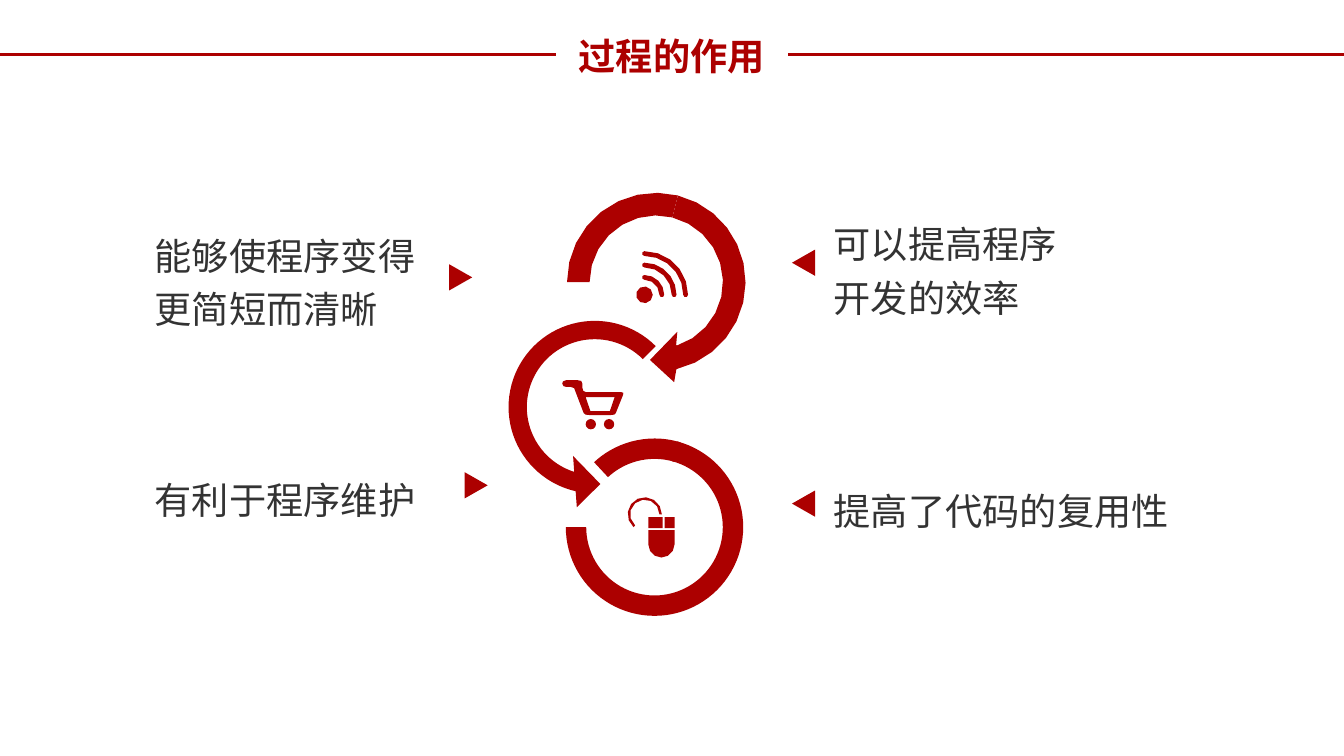
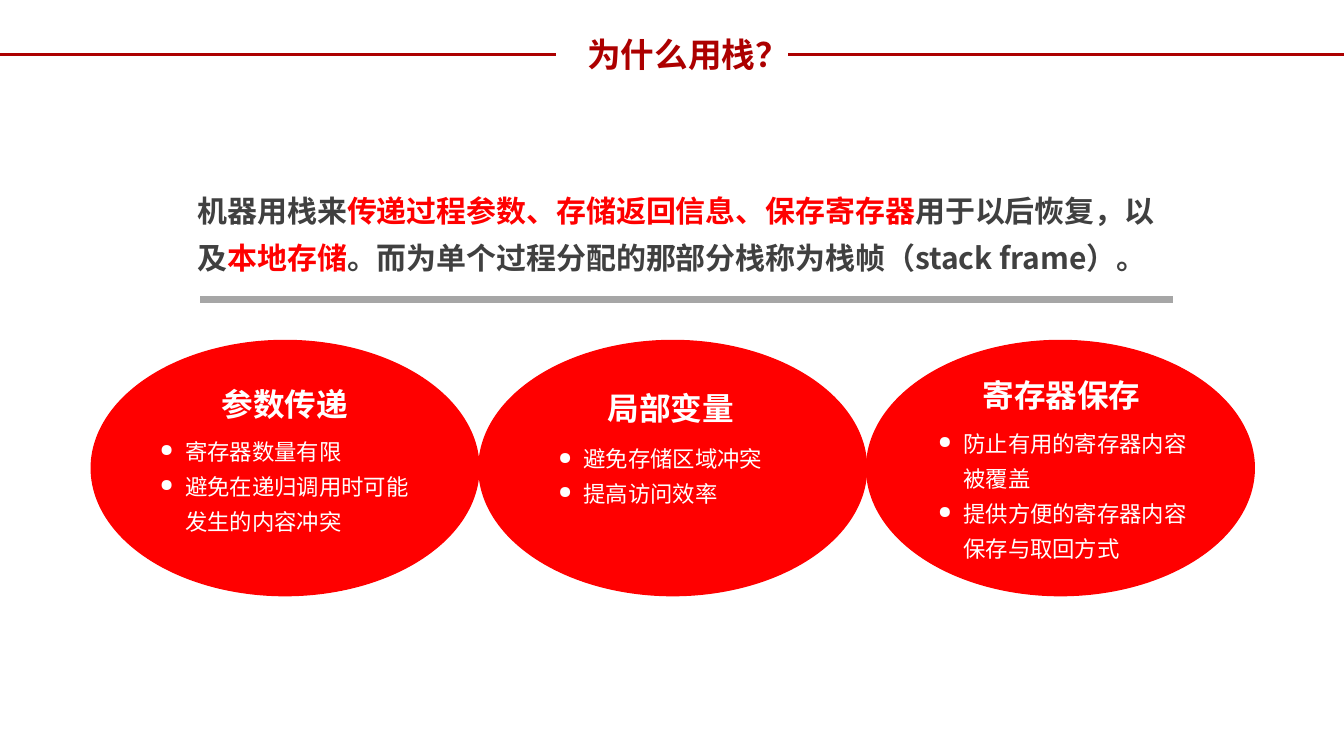
import math

import pptx
import pptx.dml.color
import pptx.enum.shapes
import pptx.enum.text
import pptx.oxml.ns
import pptx.util
from lxml import etree

Cm = pptx.util.Cm
Pt = pptx.util.Pt
SHAPE = pptx.enum.shapes.MSO_SHAPE
ALIGN = pptx.enum.text.PP_ALIGN

FONT = "Noto Sans CJK SC"
CRIMSON, RED, WHITE = "AC0000", "FF0000", "FFFFFF"
INK, DARK, GRAY = "333333", "404040", "A6A6A6"
SLIDE_W, SLIDE_H = 33.87, 19.05
TITLE_LEFT, TITLE_RIGHT, TITLE_RULE_Y = 14.0, 19.86, 1.37
CURVE_TOLERANCE = 0.015

PURPOSES = [
    ("可以提高程序开发的效率", (20.76, 5.23, 6.6, 2.87), (19.92, 6.33), 270),
    ("提高了代码的复用性", (20.76, 11.95, 8.99, 1.5), (19.92, 12.4), 270),
    ("能够使程序变得更简短而清晰", (3.65, 5.52, 7.24, 2.87), (11.28, 6.7), 90),
    ("有利于程序维护", (3.65, 11.68, 7.9, 1.5), (11.67, 11.94), 90),
]
LOWER_RING = (14.26, 11.05, 4.47, 4.47)
RING_ARROWS = [
    (SHAPE.LEFT_CIRCULAR_ARROW, (12.4, 7.67, 5.18, 5.18), (0.089, 11.423, 62.936, 189, 0.125)),
    (SHAPE.BLOCK_ARC, LOWER_RING, (136.244, 172.282, 0.115)),
    (SHAPE.BLOCK_ARC, LOWER_RING, (170.851, 108, 0.115)),
]
UPPER_RING = (16.54, 7.11)
UPPER_HEAD = [(16.99, 9.63), (16.38, 9.07), (17.07, 8.36), (17.04, 8.69)]
SIGNAL_CENTER = (16.24, 7.43)
SIGNAL_RADII = [0.44, 0.75, 1.04]
CART_FRAME = [
    (15.65, 9.88), (14.76, 9.88), (14.7, 9.85), (14.68, 9.78), (14.68, 9.68), (14.65, 9.6),
    (14.55, 9.58), (14.27, 9.58), (14.19, 9.61), (14.17, 9.67), (14.2, 9.73), (14.27, 9.75),
    (14.38, 9.75), (14.47, 9.78), (14.5, 9.86), (14.71, 10.41), (14.76, 10.45), (14.86, 10.46),
    (15.39, 10.46), (15.48, 10.45), (15.52, 10.41), (15.7, 9.96), (15.71, 9.9),
]
CART_BASKET = [(15.37, 10.36), (14.88, 10.36), (14.76, 10.01), (15.49, 10.01)]
CART_WHEELS = [(14.89, 10.69), (15.35, 10.69)]

STACK_INTRO = [
    ("机器用栈来", DARK),
    ("传递过程参数、存储返回信息、保存寄存器", RED),
    ("用于以后恢复，以及", DARK),
    ("本地存储", RED),
    ("。而为单个过程分配的那部分栈称为栈帧（stack frame）。", DARK),
]
STACK_USES = [
    ("参数传递", (5.31, 9.57, 3.73, 1.22),
     ["寄存器数量有限", "避免在递归调用时可能发生的内容冲突"], (3.78, 10.72, 7.19, 2.84)),
    ("局部变量", (15.04, 9.68, 3.73, 1.22),
     ["避免存储区域冲突", "提高访问效率"], (13.82, 10.9, 6.22, 1.96)),
    ("寄存器保存", (24.48, 9.35, 4.55, 1.22),
     ["防止有用的寄存器内容被覆盖", "提供方便的寄存器内容保存与取回方式"], (23.39, 10.52, 6.88, 3.73)),
]
ELLIPSE_LEFT, ELLIPSE_TOP, ELLIPSE_W, ELLIPSE_H = 2.3, 8.58, 9.77, 6.43


def rgb(color):
    return pptx.dml.color.RGBColor.from_string(color)


def paint(shape, color):
    shape.shadow.inherit = False
    shape.fill.solid()
    shape.fill.fore_color.rgb = rgb(color)
    shape.line.fill.background()
    return shape


def add_preset(shapes, kind, place, color):
    return paint(shapes.add_shape(kind, *map(Cm, place)), color)


def add_outline(shapes, *contours):
    emu = [[(Cm(x), Cm(y)) for x, y in contour] for contour in contours]
    builder = shapes.build_freeform(*emu[0][0], scale=1.0)
    for index, contour in enumerate(emu):
        if index:
            builder.move_to(*contour[0])
        builder.add_line_segments(contour[1:], close=True)
    return paint(builder.convert_to_shape(), CRIMSON)


def arc(center, radius, start, end):
    widest = math.degrees(2 * math.acos(1 - CURVE_TOLERANCE / radius))
    steps = math.ceil(abs(end - start) / widest)
    angles = [math.radians(start + (end - start) * i / steps) for i in range(steps + 1)]
    return [(center[0] + radius * math.cos(a), center[1] + radius * math.sin(a)) for a in angles]


def band(center, outer, inner, start, end):
    return arc(center, outer, start, end) + arc(center, inner, end, start)


def rectangle(left, top, right, bottom):
    return [(left, top), (right, top), (right, bottom), (left, bottom)]


def add_rule(page, left, right, y, color, width):
    rule = page.shapes.add_connector(
        pptx.enum.shapes.MSO_CONNECTOR.STRAIGHT, Cm(left), Cm(y), Cm(right), Cm(y))
    rule.line.color.rgb = rgb(color)
    rule.line.width = Pt(width)
    etree.SubElement(rule._element.spPr, pptx.oxml.ns.qn("a:effectLst"))


def add_bullet(para, symbol):
    props = para._p.get_or_add_pPr()
    props.set("marL", str(Cm(0.64)))
    props.set("indent", str(-Cm(0.64)))
    etree.SubElement(props, pptx.oxml.ns.qn("a:buSzPct")).set("val", "77000")
    etree.SubElement(props, pptx.oxml.ns.qn("a:buChar")).set("char", symbol)


def add_text(page, place, paragraphs, size, bold=False, align=ALIGN.LEFT,
             spacing=None, wrap=True, bullet=None):
    box = page.shapes.add_textbox(*map(Cm, place))
    frame = box.text_frame
    frame.word_wrap = wrap
    frame.auto_size = pptx.enum.text.MSO_AUTO_SIZE.SHAPE_TO_FIT_TEXT
    for index, runs in enumerate(paragraphs):
        para = frame.add_paragraph() if index else frame.paragraphs[0]
        para.alignment = align
        if spacing:
            para.line_spacing = spacing
        if bullet:
            add_bullet(para, bullet)
        for text, color in runs:
            span = para.add_run()
            span.text = text
            span.font.size = Pt(size)
            span.font.bold = bold
            span.font.color.rgb = rgb(color)
            span.font.name = FONT
            east_asian = etree.SubElement(span._r.get_or_add_rPr(), pptx.oxml.ns.qn("a:ea"))
            east_asian.set("typeface", FONT)


def add_title(page, title, size, top, width, height):
    for left, right in ((0, TITLE_LEFT), (TITLE_RIGHT, SLIDE_W)):
        add_rule(page, left, right, TITLE_RULE_Y, CRIMSON, 2)
    add_text(page, (TITLE_LEFT, top, width, height), [[(title, CRIMSON)]],
             size, bold=True, align=ALIGN.CENTER)


def add_signal_icon(page):
    shapes = page.shapes.add_group_shape().shapes
    x, y = SIGNAL_CENTER
    cap = 0.06
    add_outline(shapes, arc(SIGNAL_CENTER, 0.21, 0, 360)[:-1])
    for radius in SIGNAL_RADII:
        add_outline(
            shapes,
            arc(SIGNAL_CENTER, radius + cap, -90, 0) + arc((x + radius, y), cap, 0, 180)[1:-1]
            + arc(SIGNAL_CENTER, radius - cap, 0, -90) + arc((x, y - radius), cap, 90, 270)[1:-1])


def add_cart_icon(page):
    shapes = page.shapes.add_group_shape().shapes
    radius = 0.13
    for x, y in CART_WHEELS:
        add_preset(shapes, SHAPE.OVAL, (x - radius, y - radius, 2 * radius, 2 * radius), CRIMSON)
    add_outline(shapes, CART_FRAME, CART_BASKET)


def add_mouse_icon(page):
    shapes = page.shapes.add_group_shape().shapes
    add_outline(
        shapes,
        rectangle(16.75, 13.03, 17.0, 13.31),
        rectangle(16.34, 13.03, 16.7, 13.31),
        [(16.34, 13.36), (17.0, 13.36)] + arc((16.67, 13.72), 0.33, 0, 180))
    add_outline(shapes, band((16.25, 12.96), 0.43, 0.37, 131, 360))


def build_purposes(deck):
    page = deck.slides.add_slide(deck.slide_layouts[6])
    for text, place, corner, rotation in PURPOSES:
        marker = add_preset(page.shapes, SHAPE.ISOSCELES_TRIANGLE, (*corner, 0.66, 0.58), CRIMSON)
        marker.rotation = rotation
        add_text(page, place, [[(text, INK)]], 26.6, spacing=1.2)
    for kind, place, adjustments in RING_ARROWS:
        arrow = add_preset(page.shapes, kind, place, CRIMSON)
        for index, value in enumerate(adjustments):
            arrow.adjustments[index] = value
    add_signal_icon(page)
    add_cart_icon(page)
    add_mouse_icon(page)
    add_outline(page.shapes, arc(UPPER_RING, 2.25, 284, 437) + UPPER_HEAD
                + arc(UPPER_RING, 1.68, 432, 284))
    add_outline(page.shapes, band(UPPER_RING, 2.25, 1.68, 180, 284))
    add_title(page, "过程的作用", 26.6, 0.72, 5.87, 1.4)


def build_stack(deck):
    page = deck.slides.add_slide(deck.slide_layouts[6])
    for index in range(len(STACK_USES)):
        left = ELLIPSE_LEFT + index * ELLIPSE_W
        ellipse = add_preset(page.shapes, SHAPE.OVAL,
                             (left, ELLIPSE_TOP, ELLIPSE_W, ELLIPSE_H), RED)
        ellipse.line.color.rgb = rgb(RED)
        ellipse.line.width = Pt(1)
    add_rule(page, 5.05, 29.57, 7.55, GRAY, 4.5)
    add_text(page, (4.73, 4.46, 25.17, 2.51), [STACK_INTRO], 21.4, bold=True, spacing=1.3)
    for heading, heading_place, points, points_place in STACK_USES:
        add_text(page, heading_place, [[(heading, WHITE)]], 22.6, bold=True,
                 align=ALIGN.CENTER, wrap=False)
        add_text(page, points_place, [[(point, WHITE)] for point in points], 16,
                 spacing=1.3, bullet="●")
    add_title(page, "为什么用栈？", 24, 0.74, 6.68, 1.27)


def main():
    deck = pptx.Presentation()
    deck.slide_width, deck.slide_height = Cm(SLIDE_W), Cm(SLIDE_H)
    build_purposes(deck)
    build_stack(deck)
    deck.save("out.pptx")


if __name__ == "__main__":
    main()
